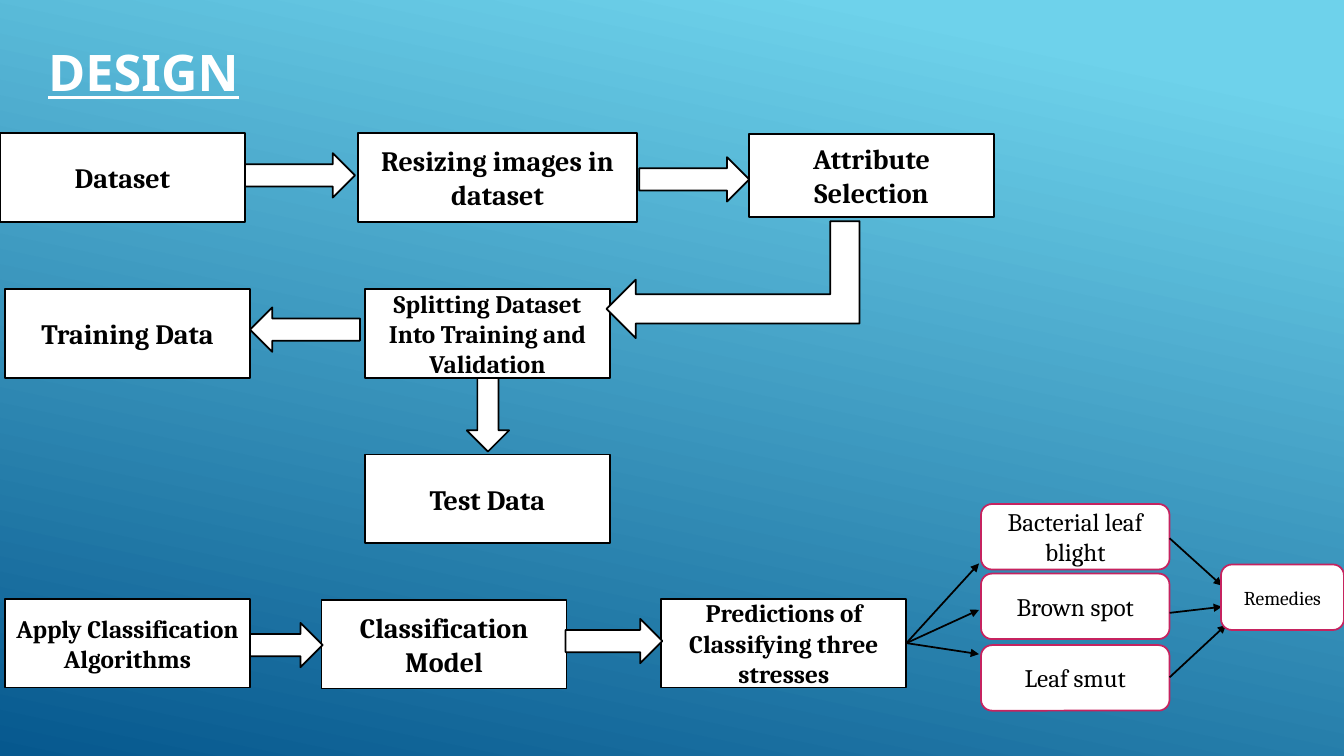
from dataclasses import dataclass

from lxml import etree
from pptx import Presentation
from pptx.dml.color import RGBColor
from pptx.enum.shapes import MSO_CONNECTOR, MSO_SHAPE
from pptx.enum.text import MSO_ANCHOR, PP_ALIGN
from pptx.oxml.ns import qn
from pptx.util import Inches, Pt

RECT = MSO_SHAPE.RECTANGLE
ROUND = MSO_SHAPE.ROUNDED_RECTANGLE
RIGHT = MSO_SHAPE.RIGHT_ARROW
LEFT = MSO_SHAPE.LEFT_ARROW
DOWN = MSO_SHAPE.DOWN_ARROW
BENT = MSO_SHAPE.BENT_UP_ARROW
STRAIGHT = MSO_CONNECTOR.STRAIGHT
MIDDLE = MSO_ANCHOR.MIDDLE
START = PP_ALIGN.LEFT
CENTER = PP_ALIGN.CENTER

COLORS = {"white": "FFFFFF", "black": "000000", "pink": "C6235F",
          "sky": "6ED2EB", "navy": "06588E"}
STROKE = Pt(1.25)


@dataclass
class Block:
    kind: MSO_SHAPE
    x: float
    y: float
    w: float
    h: float
    text: str = ""
    size: int = 20
    line: str = "black"
    bold: bool = True
    turn: int = 0
    flip: bool = False


@dataclass
class Link:
    x1: float
    y1: float
    x2: float
    y2: float


def color(name: str) -> RGBColor:
    return RGBColor.from_string(COLORS[name])


def write(shape, text: str, *, size: int, font: str = "Cambria", ink: str = "black",
          bold: bool = False, under: bool = False, align: PP_ALIGN = CENTER) -> None:
    frame = shape.text_frame
    frame.word_wrap = True
    frame.vertical_anchor = MIDDLE
    frame.text = text
    for para in frame.paragraphs:
        para.alignment = align
        for run in para.runs:
            run.font.size = Pt(size)
            run.font.name = font
            run.font.bold = bold
            run.font.underline = under
            run.font.color.rgb = color(ink)


def draw_block(slide, block: Block) -> None:
    shape = slide.shapes.add_shape(block.kind, Inches(block.x), Inches(block.y),
                                   Inches(block.w), Inches(block.h))
    shape.shadow.inherit = False
    shape.fill.solid()
    shape.fill.fore_color.rgb = color("white")
    shape.line.color.rgb = color(block.line)
    shape.line.width = STROKE
    shape.rotation = block.turn
    if block.flip:
        shape.element.spPr.xfrm.set("flipH", "1")
    if block.text:
        write(shape, block.text, size=block.size, bold=block.bold)


def draw_link(slide, link: Link) -> None:
    line = slide.shapes.add_connector(STRAIGHT, Inches(link.x1), Inches(link.y1),
                                      Inches(link.x2), Inches(link.y2))
    line.line.color.rgb = color("black")
    line.line.width = STROKE
    tail = etree.SubElement(line.line._get_or_add_ln(), qn("a:tailEnd"))
    tail.set("type", "triangle")
    etree.SubElement(line.element.spPr, qn("a:effectLst"))


def step(x: float, y: float, text: str, size: int = 20,
         w: float = 2.43, h: float = 0.88) -> Block:
    return Block(RECT, x, y, w, h, text, size)


def card(x: float, y: float, text: str, size: int = 18, w: float = 1.87) -> Block:
    return Block(ROUND, x, y, w, 0.65, text, size, "pink", False)


def arrow(kind: MSO_SHAPE, x: float, y: float, w: float = 1.09, h: float = 0.44) -> Block:
    return Block(kind, x, y, w, h)


BLOCKS = [
    step(0, 1.32, "Dataset"),
    step(3.55, 1.32, "Resizing images in dataset", w=2.77),
    step(7.43, 1.33, "Attribute Selection", h=0.82),
    step(0.05, 2.87, "Training Data"),
    step(3.62, 2.87, "Splitting Dataset\nInto Training and Validation", 18),
    step(3.62, 4.51, "Test Data"),
    step(0.05, 5.94, "Apply Classification Algorithms", 18),
    step(3.19, 5.95, "Classification Model"),
    step(6.56, 5.94, "Predictions of Classifying three stresses", 18),
    arrow(RIGHT, 2.43, 1.52),
    arrow(RIGHT, 6.34, 1.56),
    arrow(LEFT, 2.48, 3.05),
    Block(BENT, 6.69, 1.52, 1.16, 2.51, turn=270, flip=True),
    arrow(DOWN, 4.63, 3.75, 0.42, 0.73),
    arrow(RIGHT, 2.48, 6.18, 0.72),
    arrow(RIGHT, 5.61, 6.14, 0.96),
    card(9.73, 5, "Bacterial leaf blight"),
    card(9.73, 5.69, "Brown spot"),
    card(9.73, 6.4, "Leaf smut"),
]
LINKS = [Link(8.99, 6.38, 9.71, y) for y in (5.59, 6.05, 6.49)] + [
    Link(11.6, 5.34, 12.12, 5.81),
    Link(11.6, 6.08, 12.12, 6.02),
    Link(11.6, 6.72, 12.16, 6.2),
]
REMEDY = card(12.11, 5.6, "Remedies", 14, 1.22)


def paint(slide) -> None:
    fill = slide.background.fill
    fill.gradient()
    fill.gradient_angle = 258
    for stop, (place, name) in zip(fill.gradient_stops, ((0.1, "sky"), (1, "navy"))):
        stop.position = place
        stop.color.rgb = color(name)


def main() -> None:
    deck = Presentation()
    deck.slide_width = Inches(13.33)
    deck.slide_height = Inches(7.5)
    slide = deck.slides.add_slide(deck.slide_layouts[6])
    paint(slide)
    title = slide.shapes.add_textbox(Inches(0.38), Inches(0.35), Inches(8.22), Inches(0.71))
    write(title, "DESIGN", size=36, font="Noto Sans", ink="white",
          bold=True, under=True, align=START)
    for block in BLOCKS:
        draw_block(slide, block)
    for link in LINKS:
        draw_link(slide, link)
    draw_block(slide, REMEDY)
    deck.save("out.pptx")


if __name__ == "__main__":
    main()
